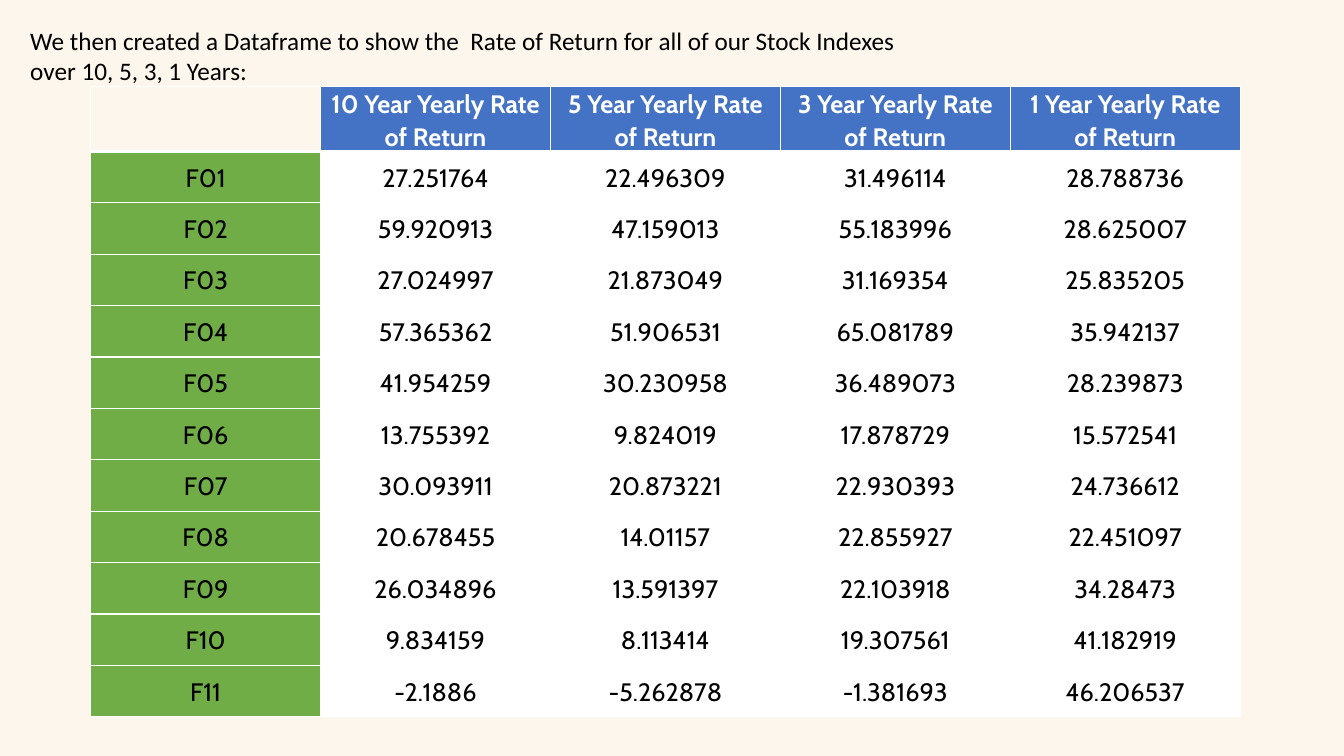
"""Build a slide with a table of yearly rates of return per fund."""
from dataclasses import dataclass

from lxml import etree
from pptx import Presentation
from pptx.dml.color import RGBColor
from pptx.enum import text
from pptx.oxml.ns import qn
from pptx.util import Inches, Pt

CREAM = RGBColor(0xFD, 0xF6, 0xEC)
WHITE = RGBColor(0xFF, 0xFF, 0xFF)
BLACK = RGBColor(0x00, 0x00, 0x00)
BLUE = RGBColor(0x44, 0x72, 0xC4)
GREEN = RGBColor(0x70, 0xAD, 0x47)

COL_WIDTH = Inches(2.28)
ROW_HEIGHT = Inches(0.51)
THIN, THICK = Pt(1), Pt(3)


@dataclass(frozen=True)
class CellStyle:
    fill: RGBColor | None
    color: RGBColor = BLACK
    bold: bool = False
    top: int = THIN
    bottom: int = THIN


@dataclass(frozen=True)
class FundReturns:
    name: str
    rates: tuple[str, ...]


YEARS = (10, 5, 3, 1)
FUNDS = (
    FundReturns("F01", ("27.251764", "22.496309", "31.496114", "28.788736")),
    FundReturns("F02", ("59.920913", "47.159013", "55.183996", "28.625007")),
    FundReturns("F03", ("27.024997", "21.873049", "31.169354", "25.835205")),
    FundReturns("F04", ("57.365362", "51.906531", "65.081789", "35.942137")),
    FundReturns("F05", ("41.954259", "30.230958", "36.489073", "28.239873")),
    FundReturns("F06", ("13.755392", "9.824019", "17.878729", "15.572541")),
    FundReturns("F07", ("30.093911", "20.873221", "22.930393", "24.736612")),
    FundReturns("F08", ("20.678455", "14.01157", "22.855927", "22.451097")),
    FundReturns("F09", ("26.034896", "13.591397", "22.103918", "34.28473")),
    FundReturns("F10", ("9.834159", "8.113414", "19.307561", "41.182919")),
    FundReturns("F11", ("-2.1886", "-5.262878", "-1.381693", "46.206537")),
)


def add_run(p, words: str, font: str, color: RGBColor, bold: bool = False) -> None:
    r = p.add_run()
    r.text = words
    r.font.name = font
    r.font.size = Pt(18)
    r.font.bold = bold
    r.font.color.rgb = color


def set_borders(cell, style: CellStyle) -> None:
    tc_pr = cell._tc.get_or_add_tcPr()
    widths = {"L": THIN, "R": THIN, "T": style.top, "B": style.bottom}
    for side, width in widths.items():
        ln = etree.SubElement(tc_pr, qn(f"a:ln{side}"), w=str(width))
        fill = etree.SubElement(ln, qn("a:solidFill"))
        etree.SubElement(fill, qn("a:srgbClr"), val=str(WHITE))


def fill_cell(cell, words: str, style: CellStyle) -> None:
    set_borders(cell, style)
    if style.fill is None:
        cell.fill.background()
    else:
        cell.fill.solid()
        cell.fill.fore_color.rgb = style.fill
    cell.vertical_anchor = text.MSO_ANCHOR.MIDDLE
    cell.margin_left = cell.margin_right = Inches(0.07)
    cell.margin_top = cell.margin_bottom = 0
    p = cell.text_frame.paragraphs[0]
    p.alignment = text.PP_ALIGN.CENTER
    p.line_spacing = 1.07
    p.space_after = Pt(8)
    if words:
        add_run(p, words, "Cabin", style.color, style.bold)


def cell_style(row: int, col: int) -> CellStyle:
    if row == 0:
        return CellStyle(BLUE if col else None, WHITE, True, bottom=THICK)
    return CellStyle(WHITE if col else GREEN, top=THICK if row == 1 else THIN)


def add_returns_table(s) -> None:
    header = ("", *(f"{year} Year Yearly Rate of Return" for year in YEARS))
    grid = (header, *((fund.name, *fund.rates) for fund in FUNDS))
    rows, cols = len(grid), len(header)
    table = s.shapes.add_table(rows, cols, Inches(0.9), Inches(0.86),
                               COL_WIDTH * cols, ROW_HEIGHT * rows).table
    table.horz_banding = False
    for column in table.columns:
        column.width = COL_WIDTH
    for i, values in enumerate(grid):
        table.rows[i].height = ROW_HEIGHT
        for j, words in enumerate(values):
            fill_cell(table.cell(i, j), words, cell_style(i, j))


def add_title(s, words: str) -> None:
    sp = s.shapes.title
    sp.left, sp.top = Inches(0.2), Inches(0.2)
    sp.width, sp.height = Inches(9.27), Inches(0.71)
    tf = sp.text_frame
    tf.word_wrap = True
    tf.auto_size = text.MSO_AUTO_SIZE.SHAPE_TO_FIT_TEXT
    tf.vertical_anchor = text.MSO_ANCHOR.TOP
    p = tf.paragraphs[0]
    p.alignment = text.PP_ALIGN.LEFT
    add_run(p, words, "Calibri", BLACK)


prs = Presentation()
prs.slide_width, prs.slide_height = Inches(13.33), Inches(7.5)
s = prs.slides.add_slide(prs.slide_layouts[5])
s.background.fill.solid()
s.background.fill.fore_color.rgb = CREAM
add_returns_table(s)
add_title(s, "We then created a Dataframe to show the  Rate of Return "
             "for all of our Stock Indexes over 10, 5, 3, 1 Years:")
prs.save("out.pptx")
